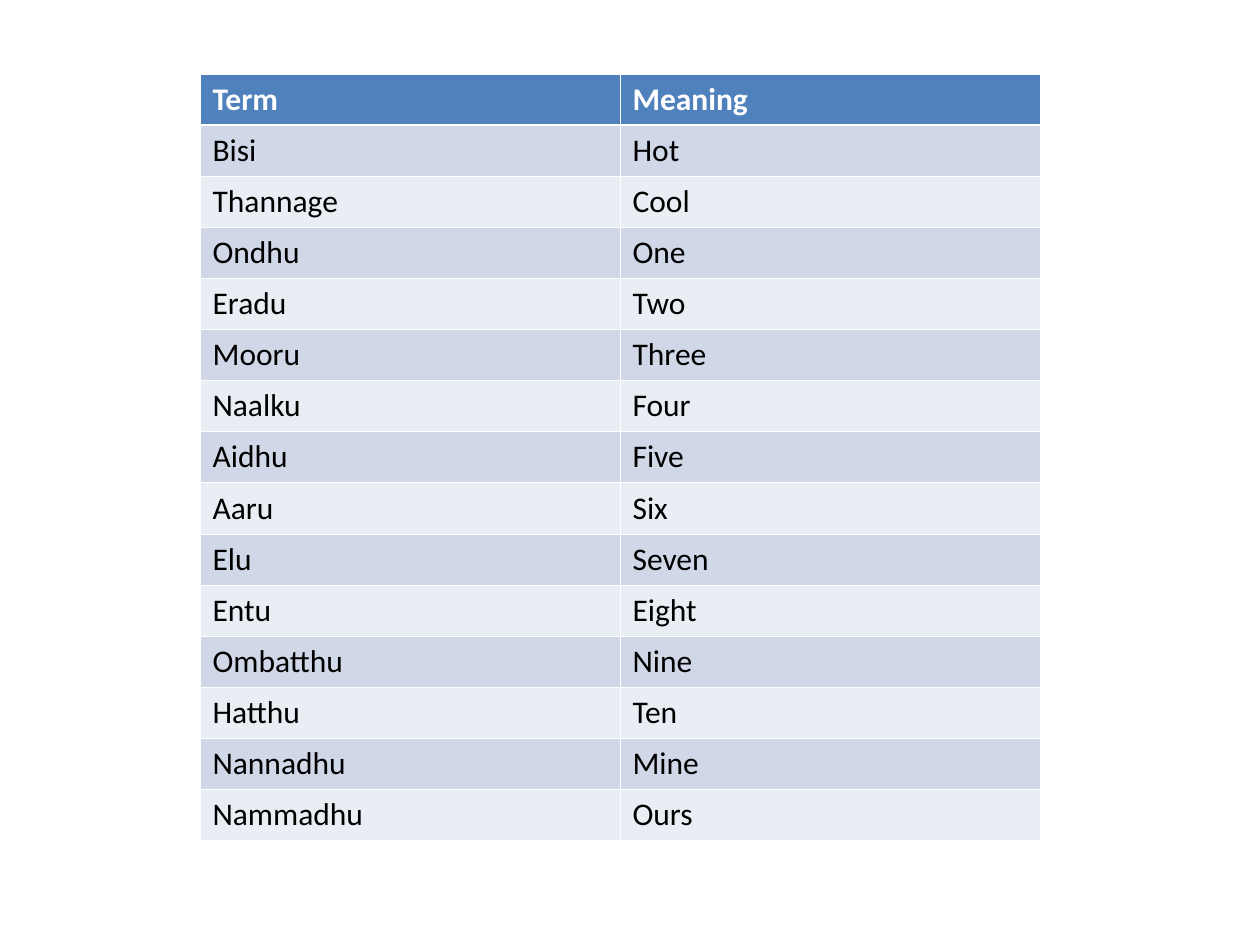
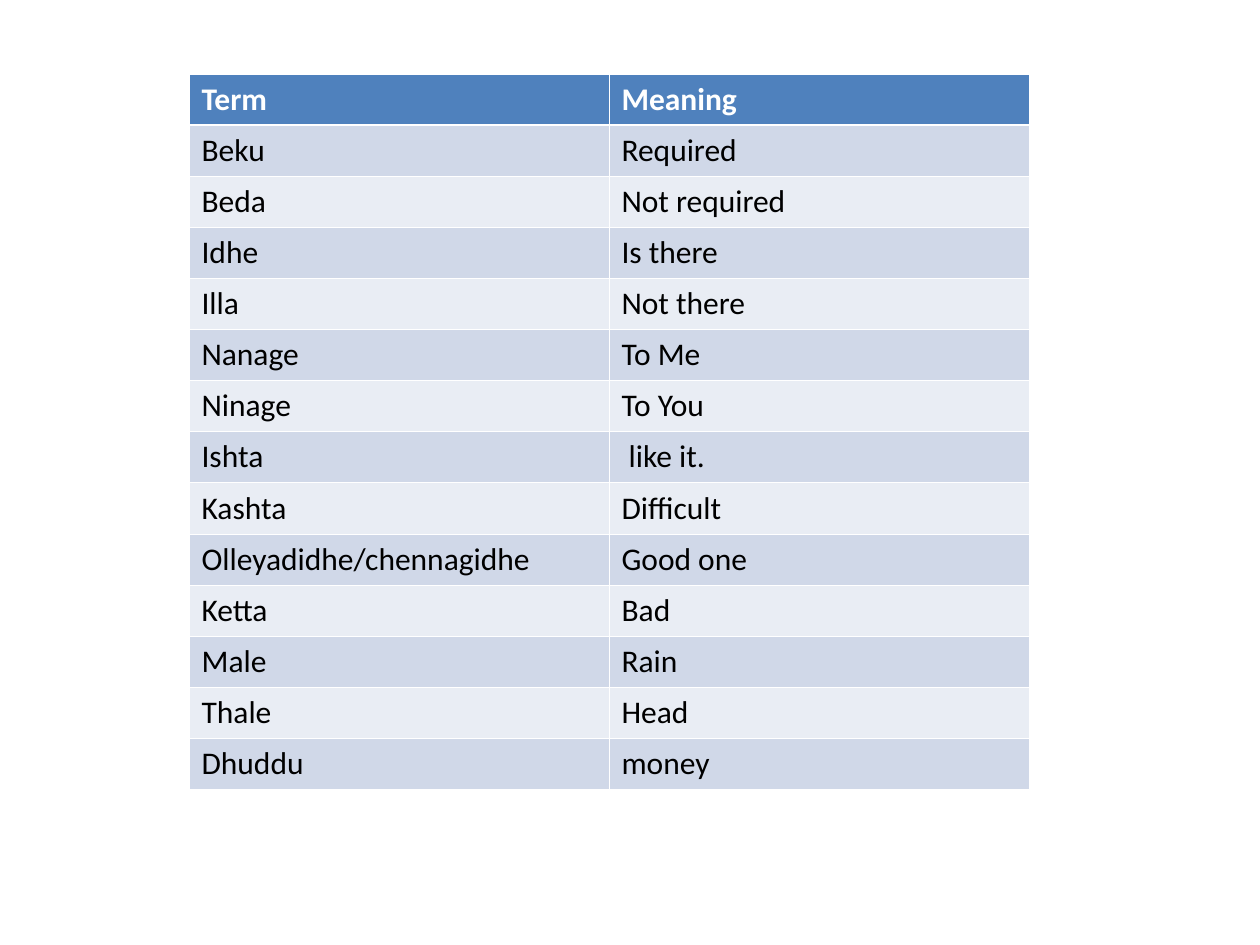
from lxml import etree
from pptx import Presentation
from pptx.dml.color import RGBColor
from pptx.oxml.ns import qn
from pptx.util import Pt

HEADER = ("Term", "Meaning")
GLOSSARIES = [
    {"left": 200, "height": 766, "entries": [
        ("Bisi", "Hot"),
        ("Thannage", "Cool"),
        ("Ondhu", "One"),
        ("Eradu", "Two"),
        ("Mooru", "Three"),
        ("Naalku", "Four"),
        ("Aidhu", "Five"),
        ("Aaru", "Six"),
        ("Elu", "Seven"),
        ("Entu", "Eight"),
        ("Ombatthu", "Nine"),
        ("Hatthu", "Ten"),
        ("Nannadhu", "Mine"),
        ("Nammadhu", "Ours"),
    ]},
    {"left": 189, "height": 716, "entries": [
        ("Beku", "Required"),
        ("Beda", "Not required"),
        ("Idhe", "Is there"),
        ("Illa", "Not there"),
        ("Nanage", "To Me"),
        ("Ninage", "To You"),
        ("Ishta", " like it."),
        ("Kashta", "Difficult"),
        ("Olleyadidhe/chennagidhe", "Good one"),
        ("Ketta", "Bad"),
        ("Male", "Rain"),
        ("Thale", "Head"),
        ("Dhuddu", "money"),
    ]},
]

EMU_PER_PX = 914400 / 126
SLIDE_WIDTH, SLIDE_HEIGHT = 1260, 945
TABLE_TOP, TABLE_WIDTH = 74, 840

WHITE, BLACK = "FFFFFF", "000000"
HEADER_FILL = "4F81BD"
BAND_FILLS = ("E9EDF4", "D0D8E8")
THIN, THICK = 0.45, 1.47
HEADER_FONT = {"name": "Calibri", "size": Pt(18), "bold": True}
BODY_FONT = {**HEADER_FONT, "bold": False}


def px(length):
    return round(length * EMU_PER_PX)


def color(hex_code):
    return RGBColor.from_string(hex_code)


def add_borders(cell, widths):
    """Draw white cell borders; widths maps each side (L, R, T, B) to points."""
    properties = cell._tc.get_or_add_tcPr()
    for side, width in widths.items():
        line = etree.SubElement(properties, qn(f"a:ln{side}"), w=str(Pt(width)))
        fill = etree.SubElement(line, qn("a:solidFill"))
        etree.SubElement(fill, qn("a:srgbClr"), val=WHITE)


def fill_cell(cell, text, row):
    is_header = row == 0
    add_borders(cell, {
        "L": THIN,
        "R": THIN,
        "T": THICK if row == 1 else THIN,
        "B": THICK if is_header else THIN,
    })
    cell.fill.solid()
    cell.fill.fore_color.rgb = color(HEADER_FILL if is_header else BAND_FILLS[row % 2])
    span = cell.text_frame.paragraphs[0].add_run()
    span.text = text
    for name, value in (HEADER_FONT if is_header else BODY_FONT).items():
        setattr(span.font, name, value)
    span.font.color.rgb = color(WHITE if is_header else BLACK)


def add_glossary(page, left, height, entries):
    rows = [HEADER, *entries]
    frame = page.shapes.add_table(
        len(rows), len(HEADER), px(left), px(TABLE_TOP), px(TABLE_WIDTH), px(height))
    table = frame.table
    for row, texts in enumerate(rows):
        for column, text in enumerate(texts):
            fill_cell(table.cell(row, column), text, row)


def main():
    deck = Presentation()
    deck.slide_width, deck.slide_height = px(SLIDE_WIDTH), px(SLIDE_HEIGHT)
    blank = deck.slide_layouts[6]
    for glossary in GLOSSARIES:
        add_glossary(deck.slides.add_slide(blank), **glossary)
    deck.save("out.pptx")


if __name__ == "__main__":
    main()
